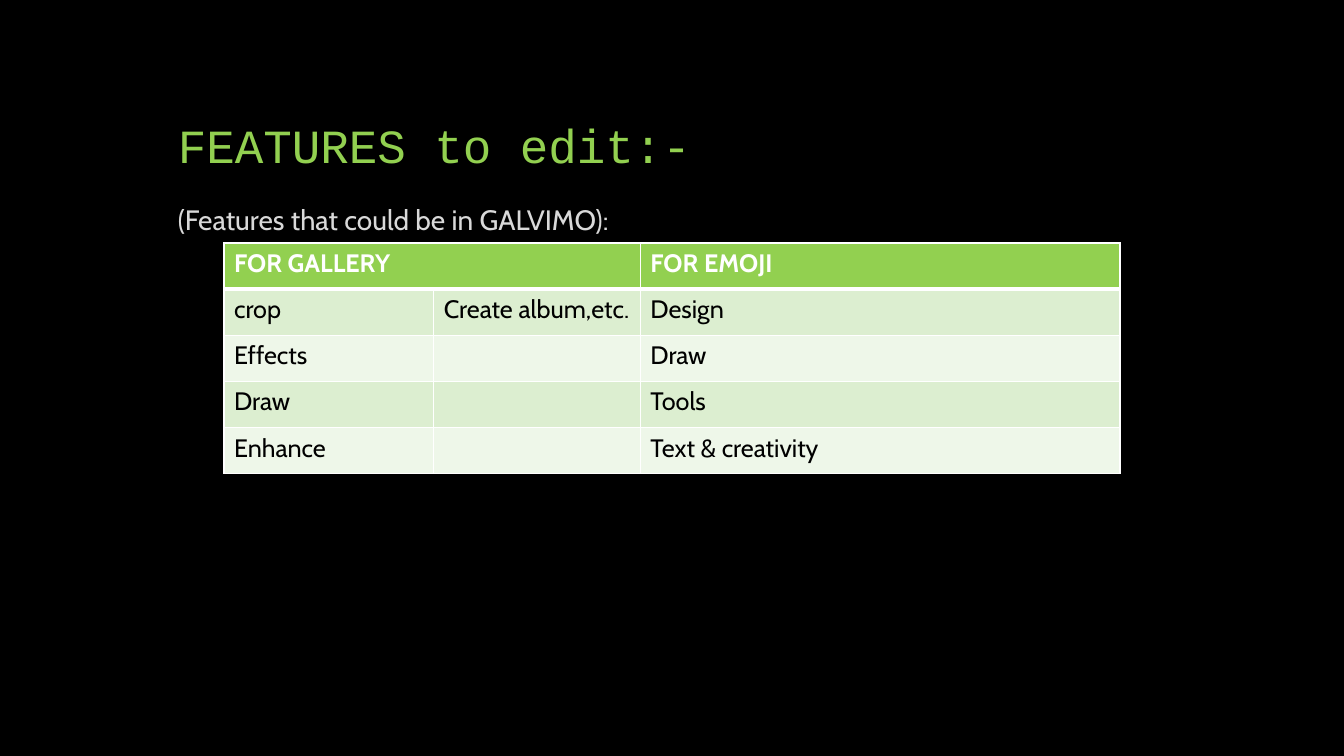
from lxml.etree import SubElement
from pptx import Presentation
from pptx.dml.color import RGBColor
from pptx.enum.text import MSO_ANCHOR
from pptx.oxml.ns import qn
from pptx.util import Pt

BLACK = RGBColor(0x00, 0x00, 0x00)
WHITE = RGBColor(0xFF, 0xFF, 0xFF)
GREEN = RGBColor(0x92, 0xD0, 0x50)
LIGHT_GRAY = RGBColor(0xD9, 0xD9, 0xD9)
BAND_COLORS = (RGBColor(0xEE, 0xF7, 0xE9), RGBColor(0xDC, 0xEE, 0xD0))

BODY_FONT = "Cabin"
COLUMN_WIDTHS = (149.8, 147.6, 342.7)
ROW_HEIGHT = 33
FEATURES = (
    ("FOR GALLERY", "", "FOR EMOJI"),
    ("crop", "Create album,etc.", "Design"),
    ("Effects", "", "Draw"),
    ("Draw", "", "Tools"),
    ("Enhance", "", "Text & creativity"),
)


def add_run(paragraph, text, size, color, font=BODY_FONT, bold=False):
    run = paragraph.add_run()
    run.text = text
    run.font.size = Pt(size)
    run.font.name = font
    run.font.bold = bold
    run.font.color.rgb = color


def add_text(slide, left, top, width, height, text, size, color,
             font=BODY_FONT, anchor=MSO_ANCHOR.TOP):
    frame = slide.shapes.add_textbox(
        Pt(left), Pt(top), Pt(width), Pt(height)).text_frame
    frame.word_wrap = True
    frame.vertical_anchor = anchor
    paragraph = frame.paragraphs[0]
    paragraph.line_spacing = 0.9
    add_run(paragraph, text, size, color, font)


def set_borders(cell, top, bottom):
    properties = cell._tc.get_or_add_tcPr()
    for side, width in (("L", 1), ("R", 1), ("T", top), ("B", bottom)):
        line = SubElement(properties, qn(f"a:ln{side}"), w=str(Pt(width)))
        fill = SubElement(line, qn("a:solidFill"))
        SubElement(fill, qn("a:srgbClr"), val=str(WHITE))


def add_feature_table(slide, left, top):
    table = slide.shapes.add_table(
        len(FEATURES), len(COLUMN_WIDTHS), Pt(left), Pt(top),
        Pt(sum(COLUMN_WIDTHS)), Pt(ROW_HEIGHT * len(FEATURES))).table
    for column, width in zip(table.columns, COLUMN_WIDTHS):
        column.width = Pt(width)
    for row_index, labels in enumerate(FEATURES):
        is_header = row_index == 0
        table.rows[row_index].height = Pt(ROW_HEIGHT)
        for column_index, label in enumerate(labels):
            cell = table.cell(row_index, column_index)
            # The heavy rule lies between the header and the first feature
            set_borders(cell, top=3 if row_index == 1 else 1,
                        bottom=3 if is_header else 1)
            cell.fill.solid()
            cell.fill.fore_color.rgb = GREEN if is_header else BAND_COLORS[row_index % 2]
            if label:
                add_run(cell.text_frame.paragraphs[0], label, 18,
                        WHITE if is_header else BLACK, bold=is_header)
    # The gallery heading covers two columns
    table.cell(0, 0).merge(table.cell(0, 1))


def main():
    presentation = Presentation()
    presentation.slide_width = Pt(960)
    presentation.slide_height = Pt(540)
    slide = presentation.slides.add_slide(presentation.slide_layouts[6])
    slide.background.fill.solid()
    slide.background.fill.fore_color.rgb = BLACK

    # Heading and introduction
    add_text(slide, 120, 37.5, 720, 90, "FEATURES to edit:-", 34, GREEN,
             font="Courier New", anchor=MSO_ANCHOR.BOTTOM)
    add_text(slide, 120, 144, 720, 336, "(Features that could be in GALVIMO):",
             20, LIGHT_GRAY)

    # Features by app part
    add_feature_table(slide, 160, 173.5)

    presentation.save("out.pptx")


if __name__ == "__main__":
    main()
